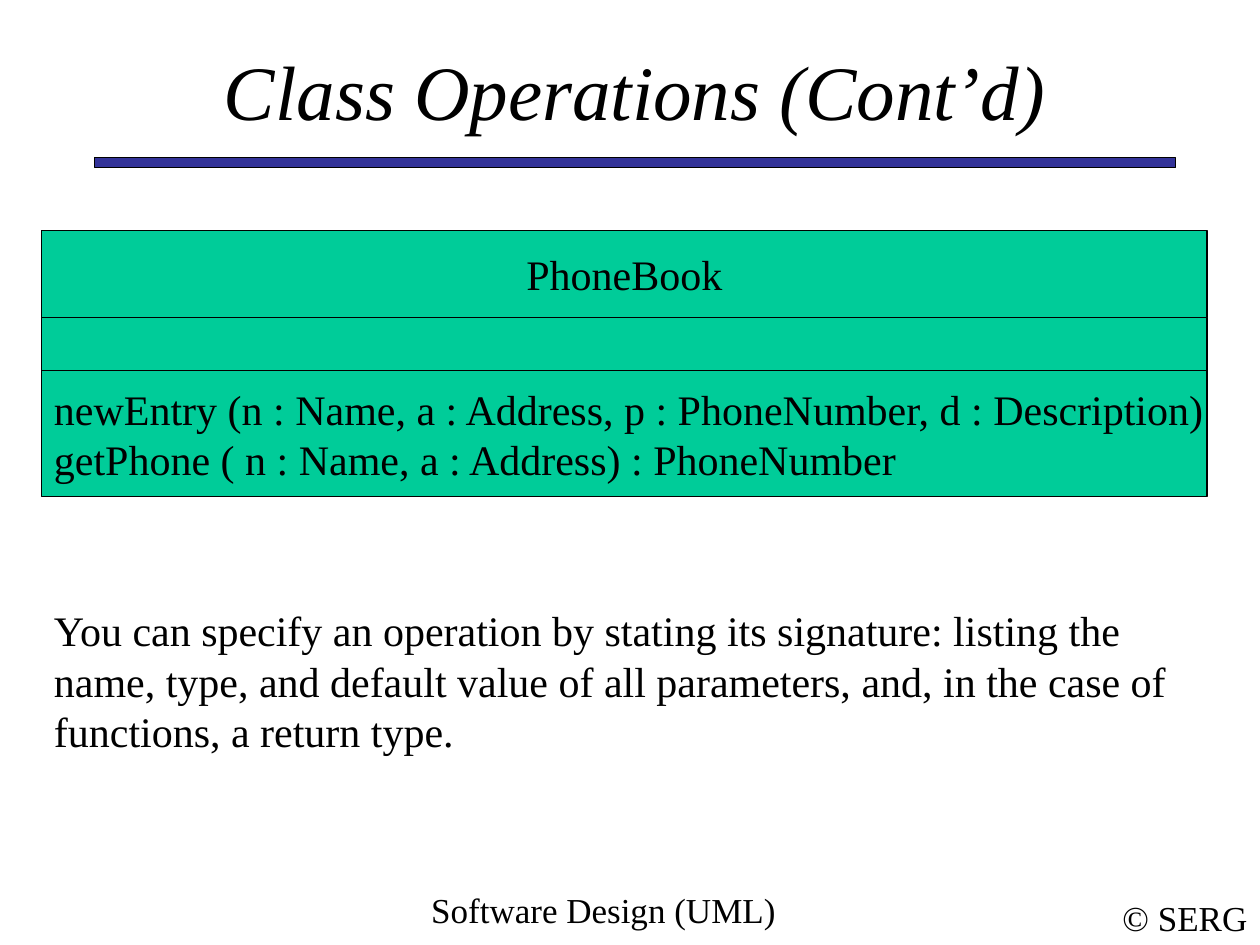
from pptx import Presentation
from pptx.dml.color import RGBColor
from pptx.enum.shapes import MSO_SHAPE as Shape
from pptx.enum.text import MSO_ANCHOR as Anchor, PP_ALIGN as Align
from pptx.util import Inches, Pt

WIDTH, HEIGHT = 10, 7.5
FONT, INK, BAR, CLASS_FILL = "Times New Roman", "000000", "333399", "00CC99"

CLASS_LEFT, CLASS_WIDTH = 0.33, 9.25
COMPARTMENTS = [
    (1.83, 0.69, ["PhoneBook"], Align.CENTER),
    (2.52, 0.52, [], Align.LEFT),
    (2.94, 1, [
        "newEntry (n : Name, a : Address, p : PhoneNumber, d : Description)",
        "getPhone ( n : Name, a : Address) : PhoneNumber",
    ], Align.LEFT),
]
EXPLANATION = (
    "You can specify an operation by stating its signature: listing the "
    "name, type, and default value of all parameters, and, in the case of "
    "functions, a return type."
)
TEXTS = [
    ("© SERG", (8.81, 7.06, 1.19, 0.44), 20, Align.CENTER, Anchor.MIDDLE, False, False),
    ("Software Design (UML)", (2.58, 7, 4.42, 0.5), 20, Align.CENTER, Anchor.TOP, True, False),
    ("Class Operations (Cont’d)", (0.75, 0.42, 8.58, 0.58), 44, Align.CENTER, Anchor.MIDDLE, True, True),
    (EXPLANATION, (CLASS_LEFT, 4.75, 9.17, 1.3), 24, Align.LEFT, Anchor.TOP, True, False),
]


def color(hex_string):
    return RGBColor.from_string(hex_string)


def write(frame, lines, size, align, anchor, wrap, italic=False):
    frame.word_wrap = wrap
    frame.vertical_anchor = anchor
    for index, line in enumerate(lines):
        paragraph = frame.add_paragraph() if index else frame.paragraphs[0]
        paragraph.alignment = align
        run = paragraph.add_run()
        run.text = line
        run.font.name = FONT
        run.font.size = Pt(size)
        run.font.italic = italic
        run.font.color.rgb = color(INK)


def add_rect(shapes, area, fill):
    rect = shapes.add_shape(Shape.RECTANGLE, *map(Inches, area))
    rect.shadow.inherit = False
    rect.fill.solid()
    rect.fill.fore_color.rgb = color(fill)
    rect.line.color.rgb = color(INK)
    rect.line.width = Pt(0.75)
    return rect


def main():
    deck = Presentation()
    deck.slide_width, deck.slide_height = Inches(WIDTH), Inches(HEIGHT)
    slide = deck.slides.add_slide(deck.slide_layouts[6])

    add_rect(slide.shapes, (0.75, 1.25, 8.58, 0.08), BAR)

    class_box = slide.shapes.add_group_shape()
    for top, height, lines, align in COMPARTMENTS:
        area = CLASS_LEFT, top, CLASS_WIDTH, height
        compartment = add_rect(class_box.shapes, area, CLASS_FILL)
        write(compartment.text_frame, lines, 24, align, Anchor.MIDDLE, False)

    for text, area, size, align, anchor, wrap, italic in TEXTS:
        box = slide.shapes.add_textbox(*map(Inches, area))
        write(box.text_frame, [text], size, align, anchor, wrap, italic)

    deck.save("out.pptx")


if __name__ == "__main__":
    main()
